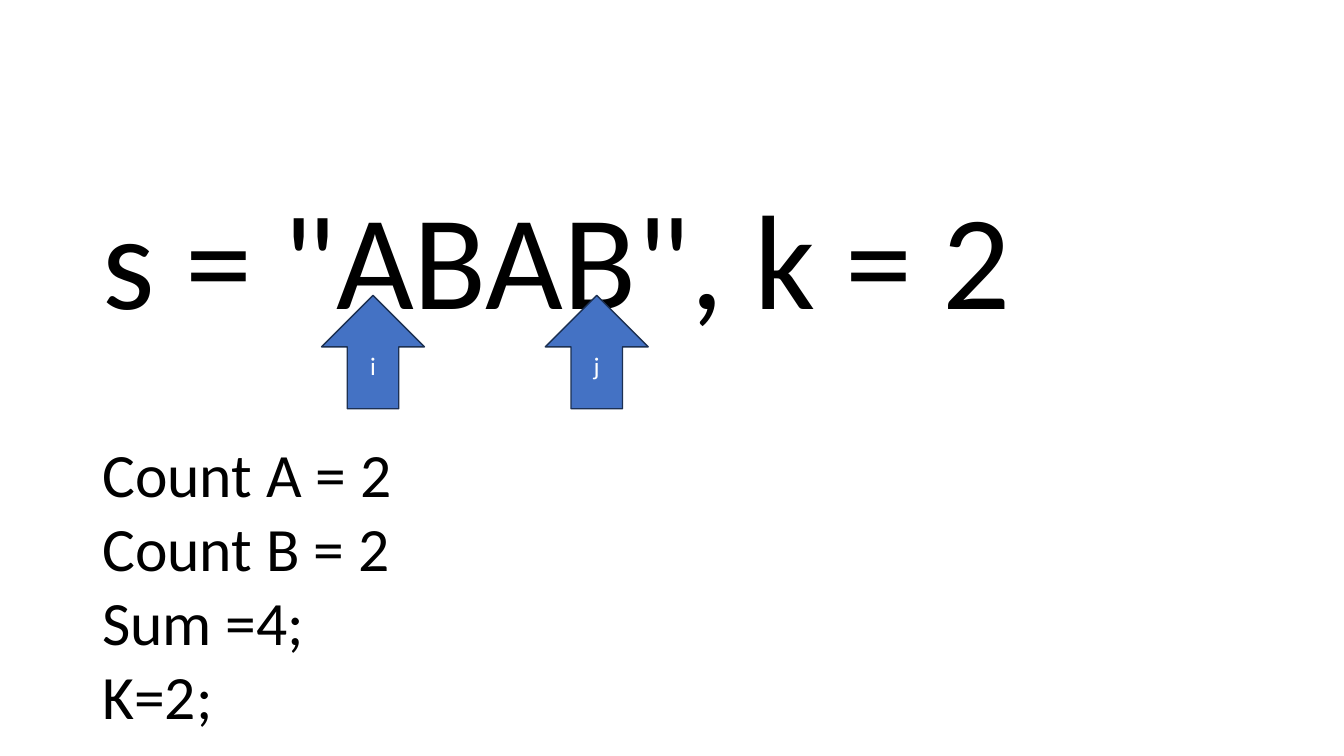
from pptx import Presentation
from pptx.dml.color import RGBColor
from pptx.enum.shapes import MSO_SHAPE
from pptx.enum.text import MSO_ANCHOR, PP_ALIGN
from pptx.util import Pt


def color(hex_string):
    return RGBColor.from_string(hex_string)


def write(shape, lines, size, font_color, alignment, line_spacing):
    text_frame = shape.text_frame
    text_frame.word_wrap = True
    text_frame.text = "\n".join(lines)
    for paragraph in text_frame.paragraphs:
        paragraph.alignment = alignment
        paragraph.line_spacing = line_spacing
        paragraph.font.name = "Calibri"
        paragraph.font.size = Pt(size)
        paragraph.font.color.rgb = color(font_color)


presentation = Presentation()
presentation.slide_width = Pt(960)
presentation.slide_height = Pt(540)
slide = presentation.slides.add_slide(presentation.slide_layouts[6])

problem = slide.shapes.add_textbox(Pt(66), Pt(144), Pt(747.5), Pt(104.5))
write(problem, ['s = "ABAB", k = 2'], 96, "000000", PP_ALIGN.LEFT, 0.8)

for pointer, left in [("i", 229.7), ("j", 389.5)]:
    arrow = slide.shapes.add_shape(MSO_SHAPE.UP_ARROW, Pt(left), Pt(211), Pt(73.5), Pt(81))
    arrow.shadow.inherit = False
    arrow.fill.solid()
    arrow.fill.fore_color.rgb = color("4472C4")
    arrow.line.color.rgb = color("1C3052")
    arrow.line.width = Pt(1)
    arrow.text_frame.vertical_anchor = MSO_ANCHOR.MIDDLE
    write(arrow, [pointer], 18, "FFFFFF", PP_ALIGN.CENTER, 1.0)

counts = slide.shapes.add_textbox(Pt(66), Pt(308), Pt(321), Pt(220))
write(counts, ["Count A = 2", "Count B = 2", "Sum =4;", "K=2;"], 44, "000000", PP_ALIGN.LEFT, 1.0)

presentation.save("out.pptx")
